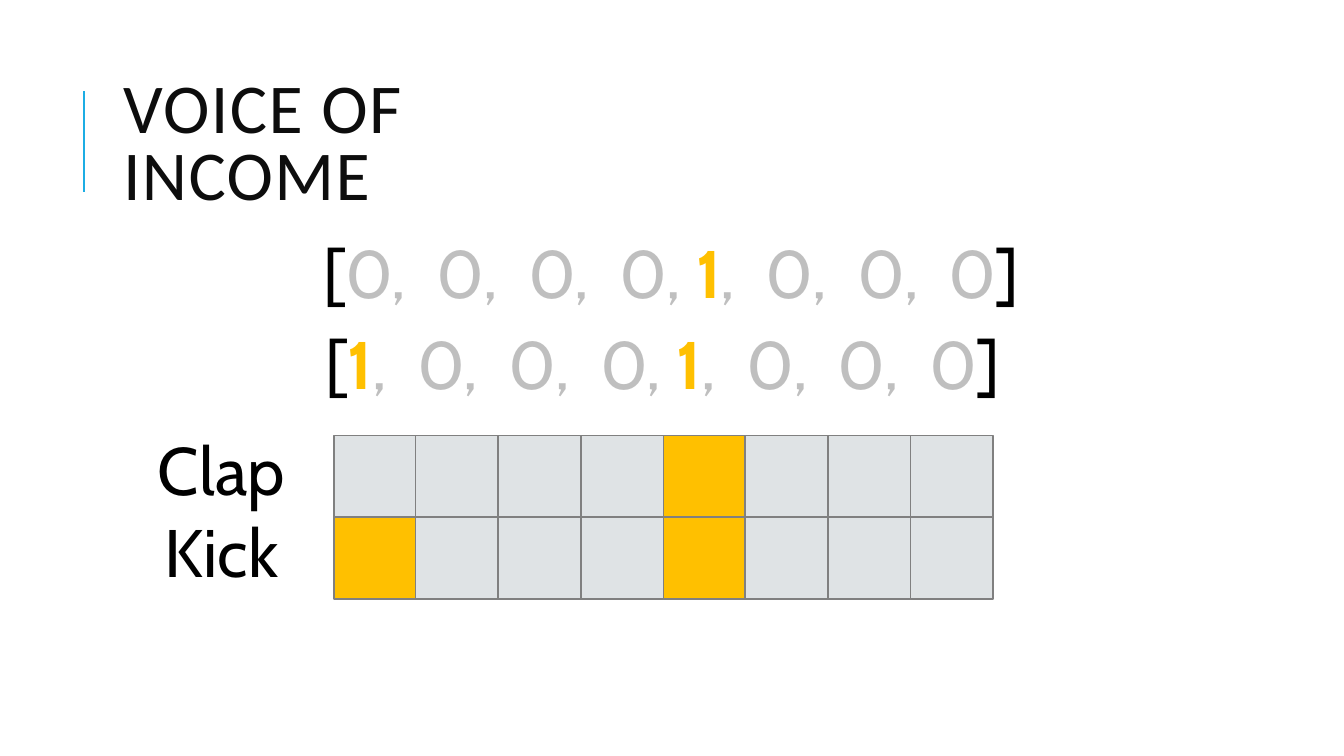
from itertools import groupby

from lxml import etree
from pptx import Presentation
from pptx.dml.color import RGBColor
from pptx.enum.shapes import MSO_CONNECTOR as Connector
from pptx.enum.shapes import MSO_SHAPE as Shape
from pptx.enum.text import MSO_ANCHOR as Anchor
from pptx.enum.text import MSO_AUTO_SIZE as AutoSize
from pptx.enum.text import PP_ALIGN as Align
from pptx.oxml.ns import qn
from pptx.util import Pt

EMU_PER_PX = 9144  # 100 px to the inch

BLACK = RGBColor(0x00, 0x00, 0x00)
TITLE_INK = RGBColor(0x0D, 0x0D, 0x0D)
ACCENT_BLUE = RGBColor(0x1C, 0xAD, 0xE4)
BEAT_YELLOW = RGBColor(0xFF, 0xC0, 0x00)
REST_TEXT = RGBColor(0xBF, 0xBF, 0xBF)
REST_FILL = RGBColor(0xDF, 0xE3, 0xE5)
CELL_LINE = RGBColor(0x80, 0x80, 0x80)

CLAP = [0, 0, 0, 0, 1, 0, 0, 0]
KICK = [1, 0, 0, 0, 1, 0, 0, 0]

GRID_LEFT, GRID_TOP, GRID_WIDTH = 331, 432, 654
CELL_WIDTH, ROW_HEIGHT = 82, 81


def px(*lengths):
    return [length * EMU_PER_PX for length in lengths]


def place(shape, box):
    shape.left, shape.top, shape.width, shape.height = px(*box)


def add_text_box(slide, box):
    shape = slide.shapes.add_textbox(*px(*box))
    shape.text_frame.word_wrap = True
    return shape


def format_line_of_text(shape, anchor, line_spacing):
    """Centre the only paragraph behind a blank bullet and return it."""
    frame = shape.text_frame
    frame.auto_size = AutoSize.NONE
    frame.vertical_anchor = anchor
    frame.margin_left, frame.margin_top, frame.margin_right, frame.margin_bottom = px(5, 5, 5, 5)
    paragraph = frame.paragraphs[0]
    properties = paragraph._p.get_or_add_pPr()
    indent, = px(10)
    properties.set("marL", str(indent))
    properties.set("indent", str(-indent))
    etree.SubElement(properties, qn("a:buChar")).set("char", " ")
    paragraph.alignment = Align.CENTER
    paragraph.line_spacing = line_spacing
    paragraph.space_before = Pt(0)
    paragraph.space_after = Pt(2)
    paragraph.font.name = "Cabin"
    paragraph.font.size = Pt(48)
    paragraph.font.color.rgb = BLACK
    return paragraph


def add_run(paragraph, text, color, bold=False):
    run = paragraph.add_run()
    run.text = text
    run.font.color.rgb = color
    run.font.bold = bold


def write_pattern(shape, pattern):
    """Write the beats as a list, with every 1 highlighted."""
    paragraph = format_line_of_text(shape, Anchor.TOP, 0.9)
    pieces = []
    for index, beat in enumerate(pattern):
        if index:
            pieces.append((", " if beat else ",  ", False))
        pieces.append((str(beat), bool(beat)))
    add_run(paragraph, "[", BLACK)
    for is_beat, group in groupby(pieces, key=lambda piece: piece[1]):
        text = "".join(piece[0] for piece in group)
        add_run(paragraph, text, BEAT_YELLOW if is_beat else REST_TEXT, is_beat)
    add_run(paragraph, "]", BLACK)


def add_title(slide, text):
    title = slide.shapes.title
    place(title, (112, 64, 485, 164))
    frame = title.text_frame
    frame.text = text
    frame.word_wrap = True
    frame.auto_size = AutoSize.NONE
    frame.vertical_anchor = Anchor.MIDDLE
    paragraph = frame.paragraphs[0]
    paragraph.alignment = Align.LEFT
    paragraph.line_spacing = 0.8
    paragraph.font.name = "Calibri"
    paragraph.font.size = Pt(50)
    paragraph.font.color.rgb = TITLE_INK
    paragraph.runs[0].font._element.set("spc", "100")


def add_title_bar(slide):
    bar = slide.shapes.add_connector(Connector.STRAIGHT, *px(83, 190, 83, 90))
    bar.line.color.rgb = ACCENT_BLUE
    bar.line.width = Pt(1.5)
    etree.SubElement(bar._element.spPr, qn("a:effectLst"))


def add_cell(slide, left, top, is_beat):
    cell = slide.shapes.add_shape(Shape.RECTANGLE, *px(left, top, CELL_WIDTH, ROW_HEIGHT))
    cell.shadow.inherit = False
    cell.fill.solid()
    cell.fill.fore_color.rgb = BEAT_YELLOW if is_beat else REST_FILL
    cell.line.color.rgb = CELL_LINE
    cell.line.width = Pt(1.25)


def add_drum_row(slide, row, name, pattern):
    top = GRID_TOP + row * ROW_HEIGHT
    label = add_text_box(slide, (112, top, 182, ROW_HEIGHT))
    format_line_of_text(label, Anchor.MIDDLE, 0.8).add_run().text = name
    for column, beat in enumerate(pattern):
        add_cell(slide, GRID_LEFT + column * GRID_WIDTH // len(pattern), top, beat)


def main():
    presentation = Presentation()
    presentation.slide_width, presentation.slide_height = px(1333, 750)
    slide = presentation.slides.add_slide(presentation.slide_layouts[1])

    # Heading
    add_title_bar(slide)
    add_title(slide, "VOICE OF INCOME")

    # Patterns as lists
    body = slide.placeholders[1]
    place(body, (112, 324, 1072, 103))
    write_pattern(body, KICK)
    write_pattern(add_text_box(slide, (113, 234, 1072, 103)), CLAP)

    # Patterns as a step grid
    for row, (name, pattern) in enumerate([("Clap", CLAP), ("Kick", KICK)]):
        add_drum_row(slide, row, name, pattern)

    presentation.save("out.pptx")


if __name__ == "__main__":
    main()
